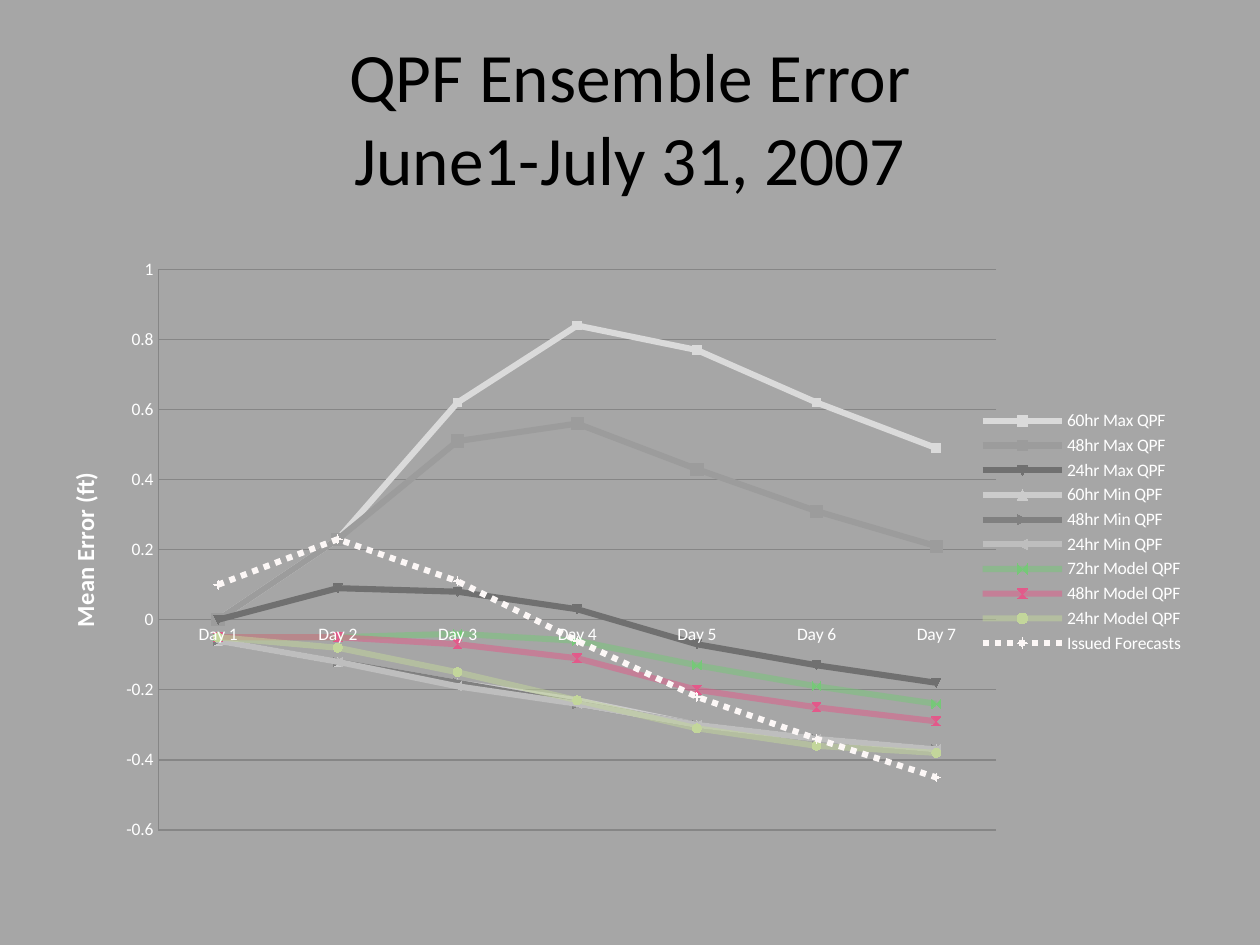
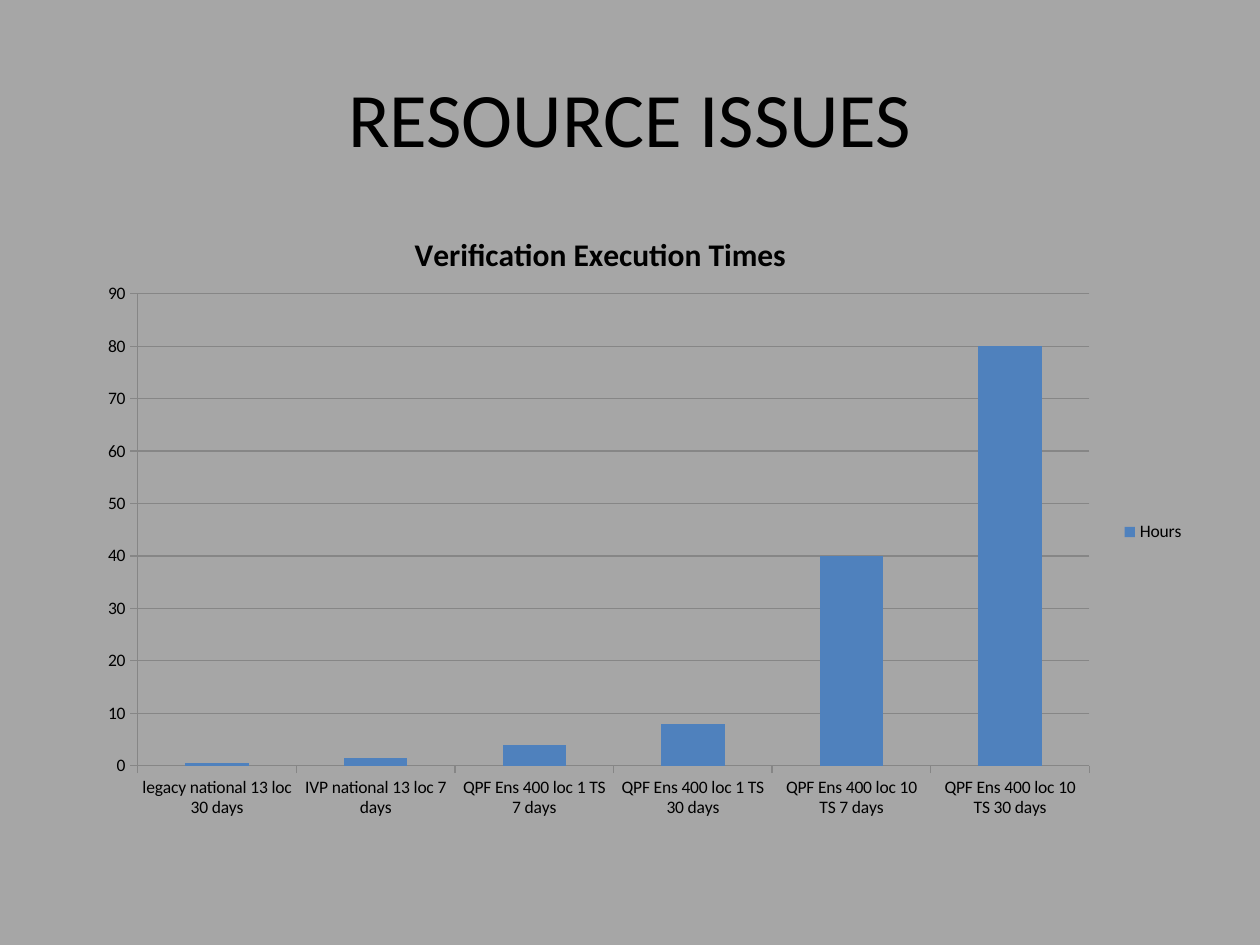
from lxml import etree
from pptx import Presentation
from pptx import util as u
from pptx.chart.data import CategoryChartData
from pptx.dml.color import RGBColor
from pptx.enum import chart as ch, dml, text
from pptx.oxml.ns import qn

FONT = "Calibri"
BACKDROP = RGBColor(0xA6, 0xA6, 0xA6)
GRID = RGBColor(0x86, 0x86, 0x86)
BLACK = RGBColor(0, 0, 0)
WHITE = RGBColor(0xFF, 0xFF, 0xFF)
BLUE = RGBColor(0x4F, 0x81, 0xBD)
PALE = RGBColor(0xDA, 0xDA, 0xDA)
MID = RGBColor(0x9C, 0x9C, 0x9C)
DARK = RGBColor(0x70, 0x70, 0x70)
LIGHT = RGBColor(0xCC, 0xCC, 0xCC)
DIM = RGBColor(0x80, 0x80, 0x80)
SOFT = RGBColor(0xBE, 0xBE, 0xBE)
GREEN = RGBColor(0x76, 0xC8, 0x78)
PINK = RGBColor(0xE3, 0x59, 0x8A)
OLIVE = RGBColor(0xC3, 0xD6, 0x9B)
CREAM = RGBColor(0xFC, 0xF7, 0xF6)

TITLE_BOX = (1.27, 0.76, 22.86, 3.18)
ERROR_BOX = (1.27, 4.44, 22.86, 12.57)
TIMES_BOX = (1.91, 4.44, 22.23, 12.57)

DAYS = [f"Day {day}" for day in range(1, 8)]
FORECASTS = [
    ("60hr Max QPF", PALE, (0, 0.23, 0.62, 0.84, 0.77, 0.62, 0.49)),
    ("48hr Max QPF", MID, (0, 0.23, 0.51, 0.56, 0.43, 0.31, 0.21)),
    ("24hr Max QPF", DARK, (0, 0.09, 0.08, 0.03, -0.07, -0.13, -0.18)),
    ("60hr Min QPF", LIGHT, (-0.06, -0.12, -0.18, -0.23, -0.3, -0.34, -0.37)),
    ("48hr Min QPF", DIM, (-0.06, -0.12, -0.18, -0.24, -0.3, -0.34, -0.37)),
    ("24hr Min QPF", SOFT, (-0.06, -0.12, -0.19, -0.24, -0.3, -0.34, -0.37)),
    ("72hr Model QPF", GREEN, (-0.05, -0.05, -0.04, -0.06, -0.13, -0.19, -0.24)),
    ("48hr Model QPF", PINK, (-0.05, -0.05, -0.07, -0.11, -0.2, -0.25, -0.29)),
    ("24hr Model QPF", OLIVE, (-0.05, -0.08, -0.15, -0.23, -0.31, -0.36, -0.38)),
    ("Issued Forecasts", CREAM, (0.1, 0.23, 0.11, -0.06, -0.22, -0.34, -0.45)),
]
RUN_HOURS = {
    "legacy national 13 loc 30 days": 0.5,
    "IVP national 13 loc 7 days": 1.5,
    "QPF Ens 400 loc 1 TS 7 days": 4,
    "QPF Ens 400 loc 1 TS 30 days": 8,
    "QPF Ens 400 loc 10 TS 7 days": 40,
    "QPF Ens 400 loc 10 TS 30 days": 80,
}


def write_title(slide, box, lines, size):
    title = slide.shapes.title
    title.left, title.top, title.width, title.height = map(u.Cm, box)
    frame = title.text_frame
    frame.word_wrap = True
    frame.vertical_anchor = text.MSO_ANCHOR.MIDDLE
    heading = frame.paragraphs[0]
    heading.alignment = text.PP_ALIGN.CENTER
    for index, line in enumerate(lines):
        if index:
            heading.add_line_break()
        run = heading.add_run()
        run.text = line
        style_font(run.font, size, BLACK)


def style_font(font, size, colour, bold=False):
    font.name = FONT
    font.size = u.Pt(size)
    font.bold = bold
    font.color.rgb = colour


def place_part(part, index, inner=False, **fractions):
    for old in part.findall(qn("c:layout")):
        part.remove(old)
    layout = etree.Element(qn("c:layout"))
    manual = etree.SubElement(layout, qn("c:manualLayout"))
    if inner:
        etree.SubElement(manual, qn("c:layoutTarget"), val="inner")
    for side in "xy":
        etree.SubElement(manual, qn(f"c:{side}Mode"), val="edge")
    for key, value in fractions.items():
        etree.SubElement(manual, qn(f"c:{key}"), val=str(value))
    part.insert(index, layout)


def add_plot(slide, box, kind, data, colour, plot, tick):
    chart = slide.shapes.add_chart(kind, *map(u.Cm, box), data).chart
    style_font(chart.font, 10, colour)
    chart.has_title = False
    chart.has_legend = True
    chart.legend.position = ch.XL_LEGEND_POSITION.RIGHT
    chart.legend.include_in_layout = False
    chart.plots[0].vary_by_categories = False
    for axis in (chart.category_axis, chart.value_axis):
        axis.major_tick_mark = tick
        axis.minor_tick_mark = ch.XL_TICK_MARK.NONE
        draw_rule(axis.format.line)
    values = chart.value_axis
    values.has_major_gridlines = True
    draw_rule(values.major_gridlines.format.line)
    area = chart._chartSpace.find(".//" + qn("c:plotArea"))
    place_part(area, 0, inner=True, **dict(zip("xywh", plot)))
    return chart


def draw_rule(line):
    line.color.rgb = GRID
    line.width = u.Pt(0.75)


def style_forecast(series, colour):
    series.smooth = False
    line = series.format.line
    line.color.rgb = colour
    line.width = u.Pt(3.5)
    if "Model" in series.name:
        for shade in series._element.iter(qn("a:srgbClr")):
            etree.SubElement(shade, qn("a:alpha"), val="50000")
    if colour == CREAM:
        line.dash_style = dml.MSO_LINE.ROUND_DOT
    marker = series.marker
    if colour == MID:
        marker.style = ch.XL_MARKER_STYLE.SQUARE
    marker.size = 7 if colour == MID else 5
    marker.format.fill.solid()
    marker.format.fill.fore_color.rgb = WHITE if colour == CREAM else colour
    marker.format.line.fill.background()


def add_error_chart(slide, box):
    data = CategoryChartData()
    data.categories = DAYS
    for name, _, errors in FORECASTS:
        data.add_series(name, errors)
    chart = add_plot(slide, box, ch.XL_CHART_TYPE.LINE_MARKERS, data, WHITE,
                     (0.084, 0.079, 0.739, 0.899), ch.XL_TICK_MARK.NONE)
    for series, (_, colour, _) in zip(chart.plots[0].series, FORECASTS):
        style_forecast(series, colour)
    frame = chart.value_axis.axis_title.text_frame
    frame._txBody.bodyPr.set("rot", "-5400000")
    frame._txBody.bodyPr.set("vert", "horz")
    run = frame.paragraphs[0].add_run()
    run.text = "Mean Error (ft)"
    style_font(run.font, 14, WHITE, bold=True)


def add_times_chart(slide, box):
    data = CategoryChartData()
    data.categories = list(RUN_HOURS)
    data.add_series("Hours", list(RUN_HOURS.values()))
    chart = add_plot(slide, box, ch.XL_CHART_TYPE.COLUMN_CLUSTERED, data, BLACK,
                     (0.039, 0.118, 0.863, 0.757), ch.XL_TICK_MARK.OUTSIDE)
    columns = chart.plots[0]
    columns.gap_width = 150
    fill = columns.series[0].format.fill
    fill.solid()
    fill.fore_color.rgb = BLUE
    run = chart.chart_title.text_frame.paragraphs[0].add_run()
    run.text = "Verification Execution Times"
    style_font(run.font, 18, BLACK, bold=True)
    place_part(chart._chartSpace.chart.find(qn("c:title")), 1, x=0.285, y=0.01)


def main():
    deck = Presentation()
    deck.slide_width, deck.slide_height = u.Cm(25.4), u.Cm(19.05)
    backdrop = deck.slide_master.background.fill
    backdrop.solid()
    backdrop.fore_color.rgb = BACKDROP
    title_only = deck.slide_layouts[5]

    ensemble = deck.slides.add_slide(title_only)
    write_title(ensemble, TITLE_BOX, ["QPF Ensemble Error", "June1-July 31, 2007"], 39.6)
    add_error_chart(ensemble, ERROR_BOX)

    resources = deck.slides.add_slide(title_only)
    write_title(resources, TITLE_BOX, ["RESOURCE ISSUES"], 44)
    add_times_chart(resources, TIMES_BOX)

    deck.save("out.pptx")


if __name__ == "__main__":
    main()
